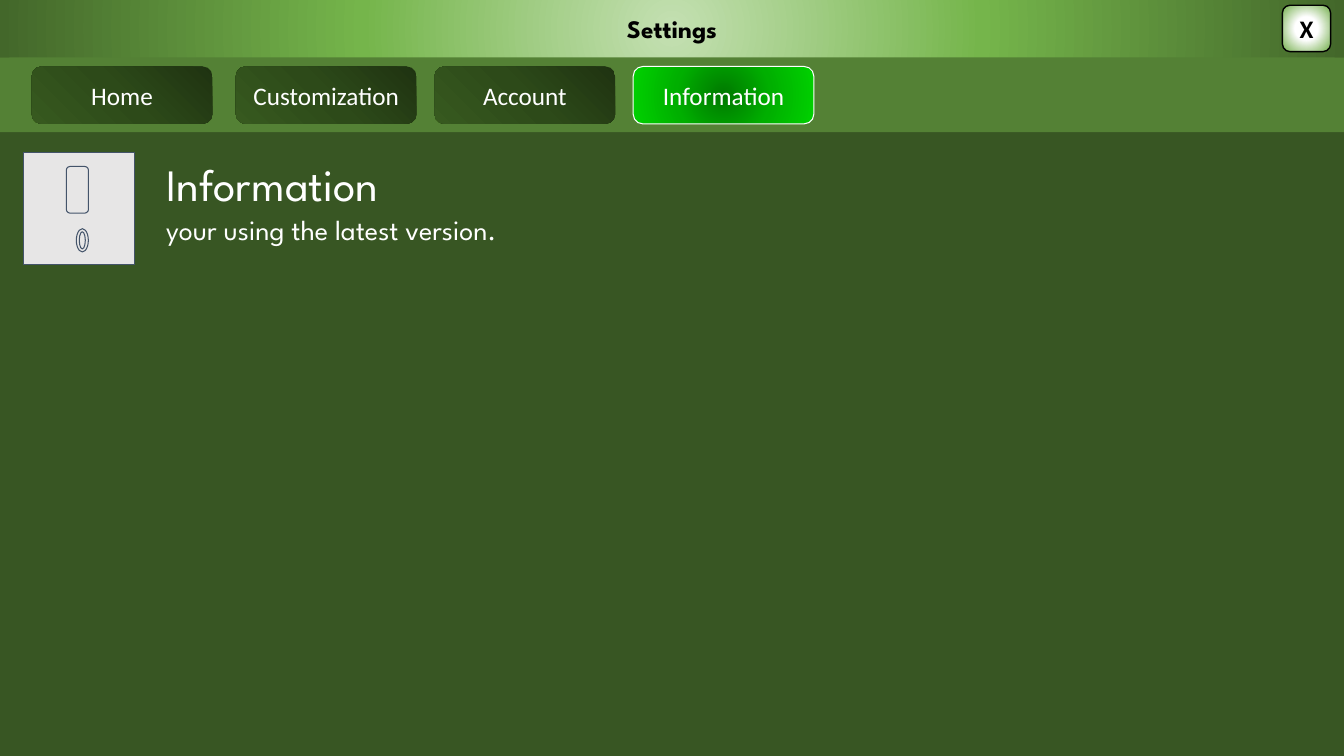
from pptx import Presentation
from pptx.dml.color import RGBColor
from pptx.enum.shapes import MSO_SHAPE
from pptx.enum.text import MSO_ANCHOR, MSO_AUTO_SIZE, PP_ALIGN
from pptx.oxml import parse_xml
from pptx.oxml.ns import nsdecls, qn
from pptx.util import Pt

COLORS = {
    "page": "385623", "tab_bar": "548135", "icon": "E7E6E6",
    "icon_line": "44546A", "black": "000000", "white": "FFFFFF",
}
GRADIENTS = {
    "header": [(0, "C4E0B2"), (46, "75B54B"), (100, "43672A")],
    "close": [(0, "FFFFFF"), (35, "FFFFFF"), (100, "70AD47")],
    "tab": [(0, "1F3311"), (50, "2D4A19"), (100, "37591F")],
    "active_tab": [(0, "007900"), (50, "00AF00"), (100, "00D200")],
}
CIRCLE = ('<a:path path="circle"><a:fillToRect l="50000" t="50000" '
          'r="50000" b="50000"/></a:path>')
DIAGONAL = '<a:lin ang="8100000" scaled="0"/>'
TABS = ["Customization", "Account", "Information"]


def color(name):
    return RGBColor.from_string(COLORS[name])


def place(shape, left, top, width, height):
    shape.left, shape.top = Pt(left), Pt(top)
    shape.width, shape.height = Pt(width), Pt(height)


def fill_gradient(shape, name, direction=CIRCLE):
    shape.fill.solid()
    shape.fill.fore_color.rgb = color("white")
    stops = "".join(
        f'<a:gs pos="{position * 1000}"><a:srgbClr val="{value}"/></a:gs>'
        for position, value in GRADIENTS[name])
    gradient = parse_xml(
        f'<a:gradFill {nsdecls("a")} rotWithShape="1">'
        f'<a:gsLst>{stops}</a:gsLst>{direction}</a:gradFill>')
    properties = shape.element.spPr
    properties.replace(properties.find(qn("a:solidFill")), gradient)


def add_panel(slide, kind, box, fill=None, line=None, line_width=0.75):
    panel = slide.shapes.add_shape(kind, *map(Pt, box))
    panel.shadow.inherit = False
    if fill:
        panel.fill.solid()
        panel.fill.fore_color.rgb = color(fill)
    if line:
        panel.line.color.rgb = color(line)
        panel.line.width = Pt(line_width)
    else:
        panel.line.fill.background()
    return panel


def write(shape, text, size, font, ink, bold=False, align=PP_ALIGN.CENTER):
    paragraph = shape.text_frame.paragraphs[0]
    paragraph.alignment = align
    paragraph.line_spacing = 1.0
    run = paragraph.add_run()
    run.text = text
    run.font.size = Pt(size)
    run.font.name = font
    run.font.bold = bold
    run.font.color.rgb = color(ink)


def add_header(slide, left, top, width, height):
    title = slide.shapes.title
    slide.shapes[-1].element.addnext(title.element)
    place(title, left, top, width, height)
    fill_gradient(title, "header")
    title.text_frame.auto_size = MSO_AUTO_SIZE.NONE
    title.text_frame.vertical_anchor = MSO_ANCHOR.MIDDLE
    write(title, "Settings", 18, "League Spartan", "black", bold=True)
    close = add_panel(slide, MSO_SHAPE.ROUNDED_RECTANGLE,
                      (left + width - 44, top + 3.7, 34.5, 33.2),
                      line="black", line_width=1)
    fill_gradient(close, "close")
    write(close, "X", 18, "Calibri", "black", bold=True)


def add_tab(slide, label, box, active=False):
    tab = add_panel(slide, MSO_SHAPE.ROUNDED_RECTANGLE, box,
                    line="white" if active else None)
    if active:
        fill_gradient(tab, "active_tab")
    else:
        fill_gradient(tab, "tab", DIAGONAL)
    tab.text_frame.word_wrap = True
    write(tab, label, 18, "Calibri", "white")


def add_tab_bar(slide, left, top, width, height):
    add_panel(slide, MSO_SHAPE.RECTANGLE, (left, top, width, height), "tab_bar")
    tab_top, tab_width, tab_height, pitch = top + 6.5, 129, 41, 141.9
    for index, label in enumerate(TABS):
        tab_left = left + 168.5 + index * pitch
        add_tab(slide, label, (tab_left, tab_top, tab_width, tab_height),
                active=label == "Information")
    add_tab(slide, "Home", (left + 22.7, tab_top, tab_width, tab_height))


def add_icon(slide, left, top, width, height):
    parts = [
        (MSO_SHAPE.RECTANGLE, (0, 0, width, height)),
        (MSO_SHAPE.FLOWCHART_ALTERNATE_PROCESS, (30.5, 10, 15.8, 33.3)),
        (MSO_SHAPE.DONUT, (37.6, 54.5, 8.6, 16.6)),
    ]
    for kind, (x, y, part_width, part_height) in parts:
        add_panel(slide, kind, (left + x, top + y, part_width, part_height),
                  "icon", "icon_line")


def add_message(slide, left, top, width, height):
    lines = [
        ("Information", 32, (left, top, 236.9, 46.1)),
        ("your using the latest version.", 20,
         (left, top + height - 31.7, width, 31.7)),
    ]
    for text, size, box in lines:
        line = slide.shapes.add_textbox(*map(Pt, box))
        line.text_frame.word_wrap = True
        line.text_frame.auto_size = MSO_AUTO_SIZE.SHAPE_TO_FIT_TEXT
        write(line, text, size, "League Spartan", "white", align=PP_ALIGN.LEFT)


def main():
    deck = Presentation()
    deck.slide_width, deck.slide_height = Pt(960), Pt(540)
    slide = deck.slides.add_slide(deck.slide_layouts[5])
    add_panel(slide, MSO_SHAPE.RECTANGLE, (0, 0.7, 960, 547), "page")
    add_header(slide, 0, 0, 960, 41)
    add_message(slide, 111.6, 108.7, 530, 71.3)
    add_icon(slide, 16.9, 108.9, 79, 79.9)
    add_tab_bar(slide, 0, 41, 960, 53.5)
    deck.save("out.pptx")


if __name__ == "__main__":
    main()
